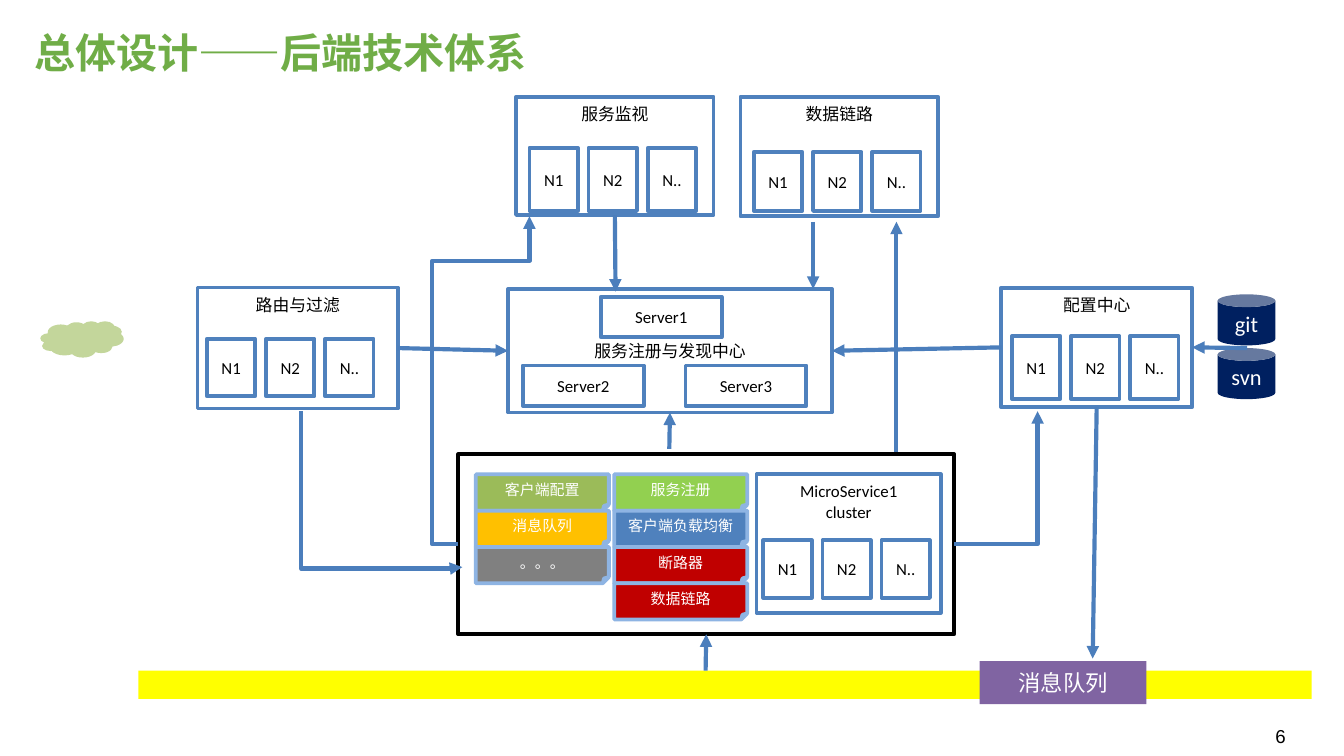
from dataclasses import dataclass
from typing import Any, Optional

from lxml import etree
from pptx import Presentation
from pptx.dml.color import RGBColor
from pptx.enum.shapes import MSO_CONNECTOR, MSO_SHAPE
from pptx.enum.text import MSO_ANCHOR, PP_ALIGN
from pptx.oxml.ns import qn
from pptx.util import Pt

PX = 9144  # EMU per px, 100 px to the inch
WIDE = 1000 * PX
HIGH = WIDE * 9 // 16

RECT, CAN = MSO_SHAPE.RECTANGLE, MSO_SHAPE.CAN
CLOUD, FOLD = MSO_SHAPE.CLOUD, MSO_SHAPE.FOLDED_CORNER
LINE, ELBOW = MSO_CONNECTOR.STRAIGHT, MSO_CONNECTOR.ELBOW
TOP, MID = MSO_ANCHOR.TOP, MSO_ANCHOR.MIDDLE
LEFT, CENTER = PP_ALIGN.LEFT, PP_ALIGN.CENTER

WHITE = RGBColor(0xFF, 0xFF, 0xFF)
BLACK = RGBColor(0x00, 0x00, 0x00)
BLUE = RGBColor(0x4F, 0x81, 0xBD)
ARROW = RGBColor(0x4B, 0x7E, 0xBC)
PALE = RGBColor(0x8E, 0xB4, 0xE3)
NAVY = RGBColor(0x00, 0x20, 0x60)
TITLE = RGBColor(0x70, 0xAD, 0x47)
MOSS = RGBColor(0xC3, 0xD6, 0x9B)
OLIVE = RGBColor(0x9B, 0xBB, 0x59)
LIME = RGBColor(0x92, 0xD0, 0x50)
GOLD = RGBColor(0xFF, 0xC0, 0x00)
GRAY = RGBColor(0x80, 0x80, 0x80)
RED = RGBColor(0xC0, 0x00, 0x00)
YELLOW = RGBColor(0xFF, 0xFF, 0x00)
PURPLE = RGBColor(0x80, 0x64, 0xA2)


@dataclass
class Box:
    x: int
    y: int
    w: int
    h: int
    text: str = ""
    kind: Any = RECT
    fill: RGBColor = WHITE
    edge: Optional[RGBColor] = BLUE
    ink: RGBColor = BLACK
    size: int = 9
    anchor: Any = MID


@dataclass
class Group:
    box: Box
    x: int  # first node
    y: int
    h: int


@dataclass
class Link:
    start: tuple[int, int]
    end: tuple[int, int]
    tail: Optional[tuple[Any, int]] = None  # shape and side at the start
    head: Optional[tuple[Any, int]] = None  # shape and side at the end


@dataclass
class Bend:
    start: tuple[int, int]
    end: tuple[int, int]
    form: str
    adjust: tuple[int, ...] = ()
    turn: int = 0


def put_text(frame: Any, text: str, font: dict, align: Any) -> None:
    for i, part in enumerate(text.split("\n")):
        para = frame.paragraphs[0] if i == 0 else frame.add_paragraph()
        para.alignment = align
        run = para.add_run()
        run.text = part
        run.font.color.rgb = font["ink"]
        for key in ("name", "size", "bold"):
            setattr(run.font, key, font.get(key))


def draw_box(shapes: Any, box: Box) -> Any:
    shape = shapes.add_shape(box.kind, *(n * PX for n in (box.x, box.y, box.w, box.h)))
    shape.shadow.inherit = False
    shape.fill.solid()
    shape.fill.fore_color.rgb = box.fill
    if box.edge is None:
        shape.line.fill.background()
    else:
        shape.line.color.rgb = box.edge
        shape.line.width = Pt(2)
    if box.text:
        frame = shape.text_frame
        frame.word_wrap = True
        frame.vertical_anchor = box.anchor
        font = {"name": "Calibri", "size": Pt(box.size), "ink": box.ink}
        put_text(frame, box.text, font, CENTER)
    return shape


def draw_group(shapes: Any, group: Group) -> Any:
    group.box.anchor = TOP
    shape = draw_box(shapes, group.box)
    for i, name in enumerate(("N1", "N2", "N..")):
        draw_box(shapes, Box(group.x + 44 * i, group.y, 36, group.h, name))
    return shape


def draw_label(shapes: Any, area: tuple, text: str, font: dict, form: dict) -> Any:
    frame = shapes.add_textbox(*(n * PX for n in area)).text_frame
    base = dict.fromkeys(("margin_left", "margin_top", "margin_right", "margin_bottom"), 0)
    for key, value in (base | form).items():
        setattr(frame, key, value)
    put_text(frame, text, font, LEFT)
    return frame


def draw_arrow(shapes: Any, kind: Any, start: tuple, end: tuple) -> Any:
    arrow = shapes.add_connector(kind, *(n * PX for n in start + end))
    arrow.line.color.rgb = ARROW
    arrow.line.width = Pt(2.25)
    prop = arrow._element.spPr
    etree.SubElement(prop.find(qn("a:ln")), qn("a:tailEnd"), type="triangle")
    etree.SubElement(prop, qn("a:effectLst"))
    return arrow


def draw_link(shapes: Any, link: Link) -> None:
    arrow = draw_arrow(shapes, LINE, link.start, link.end)
    if link.tail:
        arrow.begin_connect(*link.tail)
    if link.head:
        arrow.end_connect(*link.head)


def draw_bend(shapes: Any, bend: Bend) -> None:
    prop = draw_arrow(shapes, ELBOW, bend.start, bend.end)._element.spPr
    if bend.turn:
        prop.find(qn("a:xfrm")).set("rot", str(bend.turn * 60000))
    geom = prop.find(qn("a:prstGeom"))
    geom.set("prst", bend.form)
    guides = geom.find(qn("a:avLst"))
    for i, value in enumerate(bend.adjust, 1):
        etree.SubElement(guides, qn("a:gd"), name=f"adj{i}", fmla=f"val {value}")


def main() -> None:
    deck = Presentation()
    deck.slide_width, deck.slide_height = WIDE, HIGH
    shapes = deck.slides.add_slide(deck.slide_layouts[6]).shapes

    # Title and page number
    font = {"name": "Noto Sans CJK SC", "size": Pt(22), "bold": True, "ink": TITLE}
    title = draw_label(shapes, (26, 24, 799, 33), "总体设计——后端技术体系", font, {"word_wrap": True})
    title.paragraphs[0].line_spacing = Pt(24)
    font = {"name": "Arial", "size": Pt(10), "ink": BLACK}
    form = {"word_wrap": True, "vertical_anchor": MID}
    draw_label(shapes, (949, 539, 37, 17), "6", font, form)

    # Client cloud and registry
    draw_box(shapes, Box(30, 239, 62, 27, kind=CLOUD, fill=MOSS, edge=None))
    center = draw_box(shapes, Box(378, 215, 241, 92, "服务注册与发现中心"))
    for i, (x, y) in enumerate(((447, 221), (389, 272), (510, 272)), 1):
        draw_box(shapes, Box(x, y, 90, 30, f"Server{i}"))

    # Service groups
    route, config, watch, _ = [draw_group(shapes, group) for group in (
        Group(Box(147, 214, 149, 90, "路由与过滤"), 154, 252, 43),
        Group(Box(745, 214, 142, 89, "配置中心"), 753, 250, 47),
        Group(Box(384, 72, 147, 88, "服务监视"), 394, 110, 47),
        Group(Box(551, 72, 147, 89, "数据链路"), 561, 113, 44),
    )]

    # Config stores and message bus
    for i, name in enumerate(("git", "svn")):
        draw_box(shapes, Box(906, 219 + 40 * i, 43, 38, name, CAN, NAVY, None, WHITE, 12))
    draw_box(shapes, Box(103, 499, 873, 21, fill=YELLOW, edge=None))
    draw_box(shapes, Box(729, 492, 124, 32, "消息队列", RECT, PURPLE, None, WHITE, 12))

    # Microservice with its parts
    micro = draw_box(shapes, Box(341, 338, 369, 134, edge=BLACK))
    stacks = (
        (354, (("客户端配置", OLIVE), ("消息队列", GOLD), ("。。。", GRAY))),
        (457, (("服务注册", LIME), ("客户端负载均衡", BLUE), ("断路器", RED), ("数据链路", RED))),
    )
    for x, parts in stacks:
        for i, (name, fill) in enumerate(parts):
            draw_box(shapes, Box(x, 353 + 27 * i, 99, 27, name, FOLD, fill, PALE, WHITE, 8))
    draw_group(shapes, Group(Box(563, 353, 137, 103, "MicroService1\ncluster"), 568, 402, 43))

    # Arrows
    for link in (
        Link((296, 259), (378, 261), (route, 3), (center, 1)),
        Link((458, 160), (458, 217), (watch, 2)),
        Link((605, 165), (605, 215)),
        Link((745, 259), (619, 261), (config, 1), (center, 3)),
        Link((498, 334), (498, 307), head=(center, 2)),
        Link((928, 259), (888, 259), head=(config, 3)),
        Link((816, 303), (813, 490), (config, 2)),
        Link((525, 499), (525, 472), head=(micro, 2)),
        Link((667, 336), (667, 165)),
    ):
        draw_link(shapes, link)
    for bend in (
        Bend((341, 405), (394, 161), "bentConnector4", (-36600, 86400)),
        Bend((710, 405), (772, 306), "bentConnector2"),
        Bend((342, 304), (226, 424), "bentConnector3", (100900,), 270),
    ):
        draw_bend(shapes, bend)

    deck.save("out.pptx")


if __name__ == "__main__":
    main()
